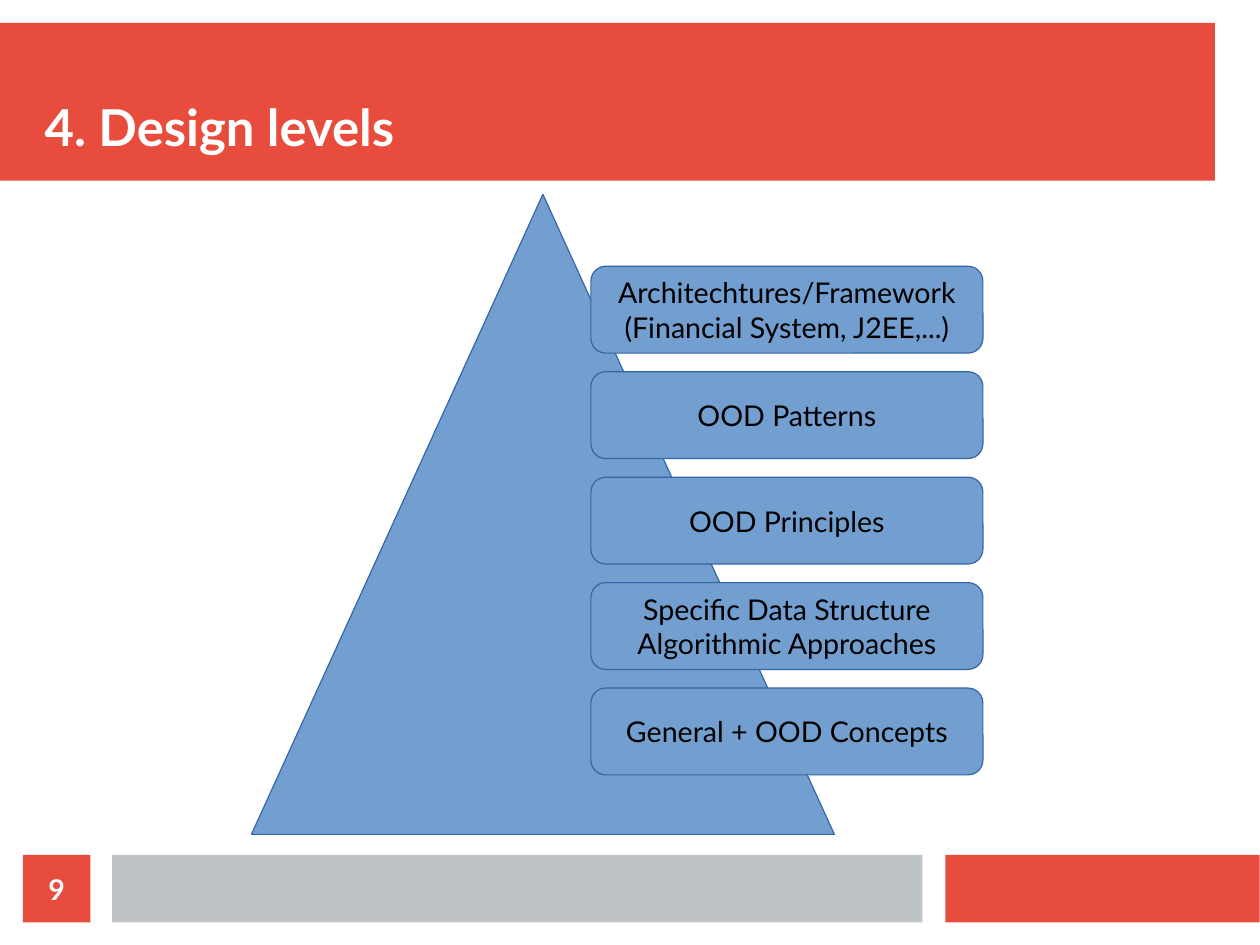
"""Build the design levels slide: a pyramid with five labelled levels."""
from pptx import Presentation
from pptx.dml.color import RGBColor
from pptx.enum.shapes import MSO_SHAPE
from pptx.enum.text import MSO_ANCHOR, MSO_AUTO_SIZE, PP_ALIGN
from pptx.util import Inches, Pt

COLORS = {
    "red": "E74C3C",
    "gray": "BDC3C7",
    "blue": "729FCF",
    "outline": "3465A4",
    "white": "FFFFFF",
    "black": "000000",
}
CENTIMETERS_PER_INCH = 2.54


def add_block(slide, kind, box, fill, outline=None):
    shape = slide.shapes.add_shape(kind, *[Inches(length) for length in box])
    shape.shadow.inherit = False
    shape.fill.solid()
    shape.fill.fore_color.rgb = RGBColor.from_string(COLORS[fill])
    if outline:
        shape.line.color.rgb = RGBColor.from_string(COLORS[outline])
        shape.line.width = Pt(0)
    else:
        shape.line.fill.background()
    return shape


def write_text(shape, text, size, color, bold, alignment, anchor, margins=(0, 0)):
    frame = shape.text_frame
    frame.text = text
    frame.auto_size = MSO_AUTO_SIZE.NONE
    frame.vertical_anchor = anchor
    frame.margin_left = frame.margin_right = Inches(margins[0])
    frame.margin_top = frame.margin_bottom = Inches(margins[1])
    for paragraph in frame.paragraphs:
        paragraph.alignment = alignment
        for run in paragraph.runs:
            run.font.name = "Lato"
            run.font.size = Pt(size)
            run.font.bold = bold
            run.font.color.rgb = RGBColor.from_string(COLORS[color])


presentation = Presentation()
presentation.slide_width = Inches(28 / CENTIMETERS_PER_INCH)
presentation.slide_height = Inches(21 / CENTIMETERS_PER_INCH)
slide = presentation.slides.add_slide(presentation.slide_layouts[5])

bars = [
    ((0, 0.2, 10.63, 1.38), "red"),
    ((8.27, 7.48, 2.75, 0.59), "red"),
    ((0.98, 7.48, 7.09, 0.59), "gray"),
]
for box, fill in bars:
    add_block(slide, MSO_SHAPE.RECTANGLE, box, fill)

number_box = add_block(slide, MSO_SHAPE.RECTANGLE, (0.2, 7.48, 0.59, 0.59), "red")
write_text(number_box, "9", 18, "white", True, PP_ALIGN.CENTER, MSO_ANCHOR.MIDDLE)

title = slide.shapes.title
title.left, title.top = Inches(0.39), Inches(0.39)
title.width, title.height = Inches(10.24), Inches(0.98)
write_text(title, "4. Design levels", 32, "white", True, PP_ALIGN.LEFT, MSO_ANCHOR.BOTTOM)
title.element.getparent().append(title.element)

add_block(slide, MSO_SHAPE.ISOSCELES_TRIANGLE, (2.2, 1.7, 5.1, 5.6), "blue", "outline")

levels = [
    "Architechtures/Framework\n(Financial System, J2EE,...)",
    "OOD Patterns",
    "OOD Principles",
    "Specific Data Structure\nAlgorithmic Approaches",
    "General + OOD Concepts",
]
first_top, last_top = 2.33, 6.02
level_pitch = (last_top - first_top) / (len(levels) - 1)
for index, text in enumerate(levels):
    box = (5.17, first_top + level_pitch * index, 3.43, 0.76)
    level = add_block(slide, MSO_SHAPE.ROUNDED_RECTANGLE, box, "blue", "outline")
    level.adjustments[0] = 0.17
    write_text(level, text, 18, "black", False, PP_ALIGN.CENTER, MSO_ANCHOR.MIDDLE, (0.1, 0.05))
    level.text_frame.word_wrap = False

presentation.save("out.pptx")
